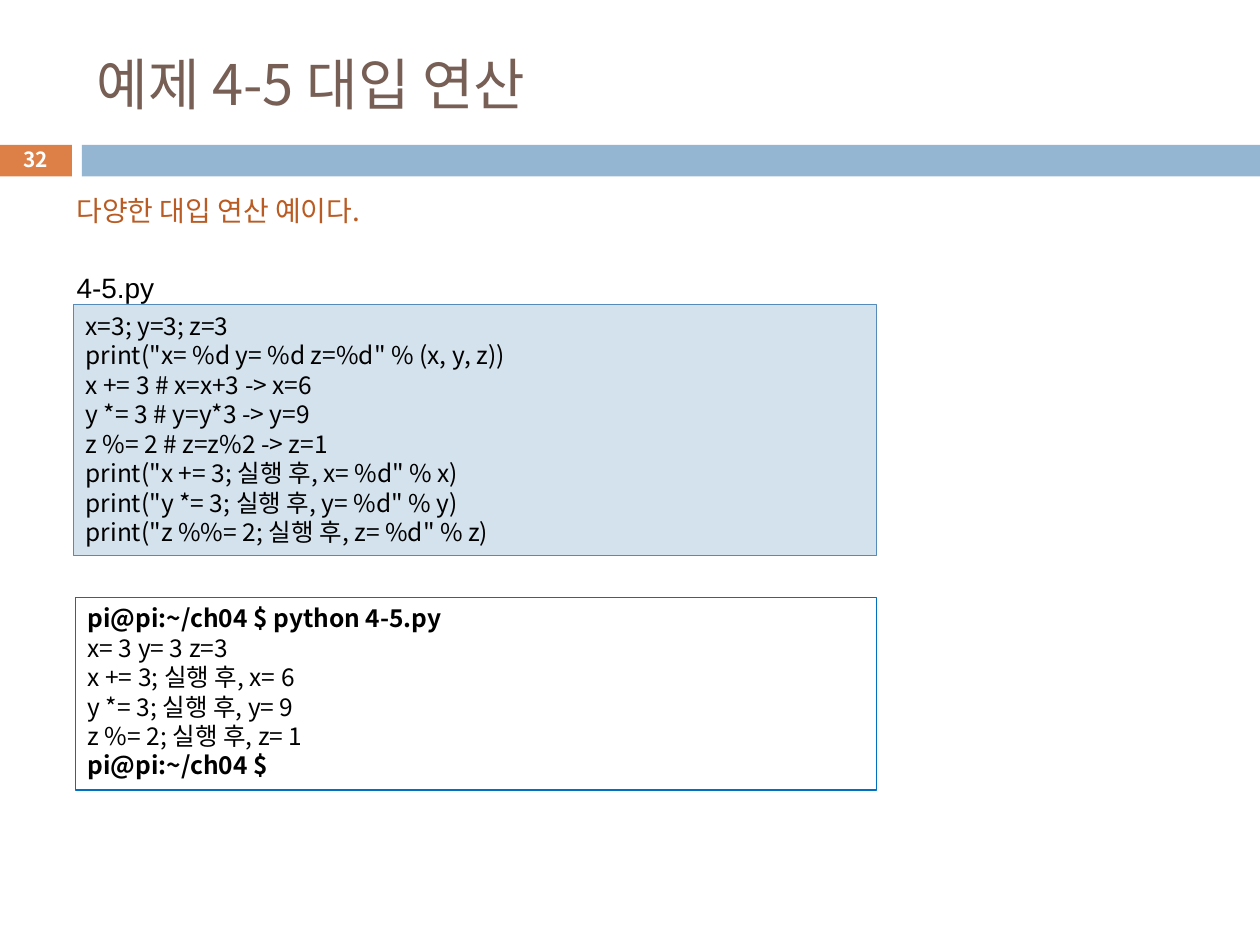
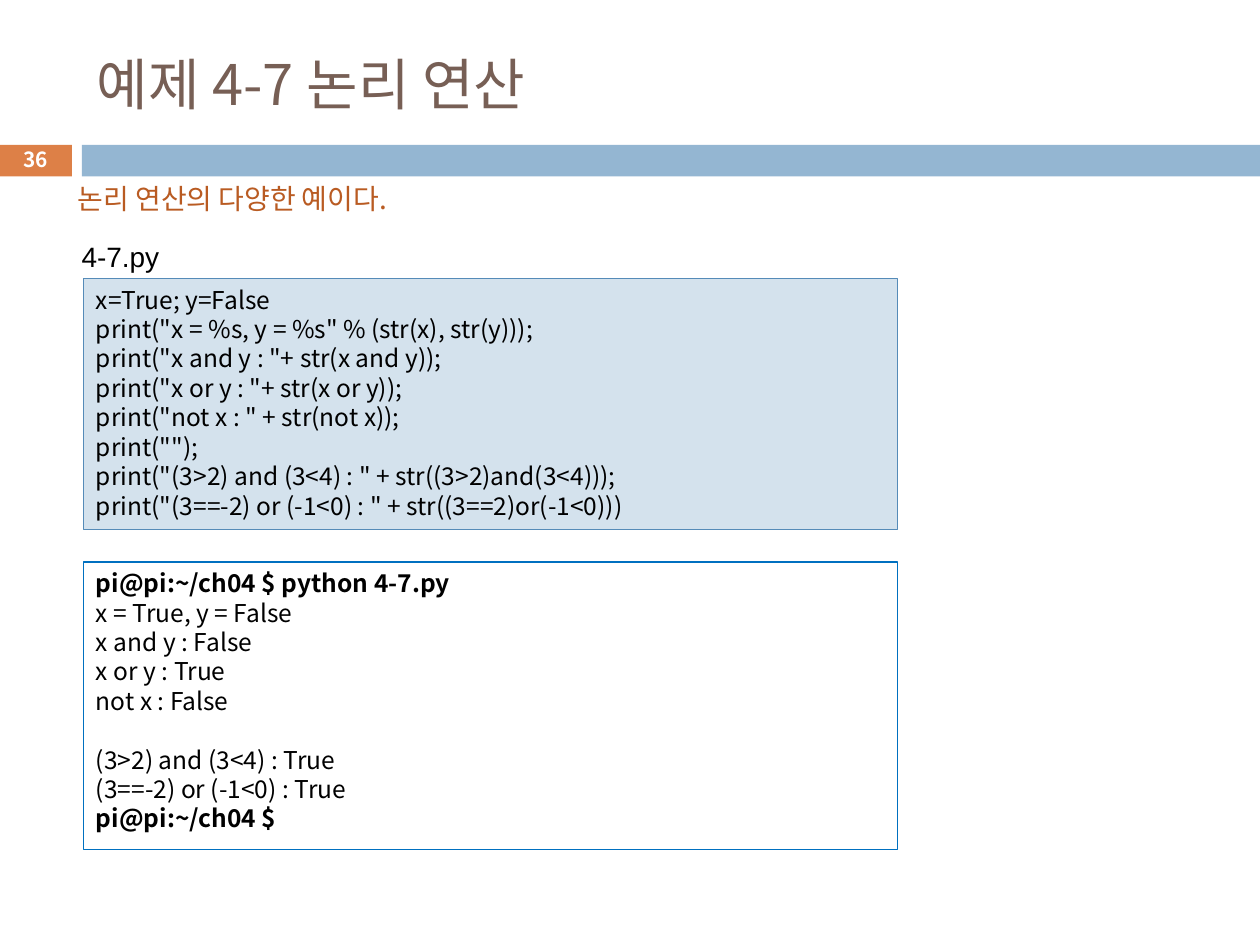
from pptx import Presentation
from pptx.dml.color import RGBColor
from pptx.enum.shapes import MSO_SHAPE as Shape
from pptx.enum.text import MSO_ANCHOR as Anchor, PP_ALIGN as Align
from pptx.oxml.ns import qn
from pptx.util import Pt

COLORS = {
    "title": "775F55", "number": "FFFFFF", "text": "000000", "intro": "B95B22",
    "orange": "DD8047", "band": "94B6D2",
    "code_fill": "D4E2ED", "code_line": "558BB8", "output_line": "0070C0",
}
KOREAN, LATIN = "Noto Sans CJK KR", "Arial"
CODE_SIZE, CODE_PITCH = 14, 16.8
PROMPT = "pi@pi:~/ch04 $"

EXAMPLES = [
    {
        "number": "32",
        "title": "예제 4-5 대입 연산",
        "intro": ("다양한 대입 연산 예이다.", (36.7, 107.3, 196.6, 26.6)),
        "file": ("4-5.py", (36.7, 139.7, 60.5, 33.8)),
        "code_box": (41.8, 174.2, 458.9, 143.3),
        "code": """x=3; y=3; z=3
print("x= %d y= %d z=%d" % (x, y, z))
x += 3 # x=x+3 -> x=6
y *= 3 # y=y*3 -> y=9
z %= 2 # z=z%2 -> z=1
print("x += 3; 실행 후, x= %d" % x)
print("y *= 3; 실행 후, y= %d" % y)
print("z %%= 2; 실행 후, z= %d" % z)""",
        "output_box": (43, 341.3, 457.9, 110.2),
        "output": """x= 3 y= 3 z=3
x += 3; 실행 후, x= 6
y *= 3; 실행 후, y= 9
z %= 2; 실행 후, z= 1""",
    },
    {
        "number": "36",
        "title": "예제 4-7 논리 연산",
        "intro": ("논리 연산의 다양한 예이다.", (37.4, 100.1, 213.1, 26.6)),
        "file": ("4-7.py", (39.6, 121.7, 60.5, 33.8)),
        "code_box": (47.8, 159.1, 465.1, 143.3),
        "code": """x=True; y=False
print("x = %s, y = %s" % (str(x), str(y)));
print("x and y : "+ str(x and y));
print("x or y : "+ str(x or y));
print("not x : " + str(not x));
print("");
print("(3>2) and (3<4) : " + str((3>2)and(3<4)));
print("(3==-2) or (-1<0) : " + str((3==2)or(-1<0)))""",
        "output_box": (47.8, 321.1, 465.1, 164.2),
        "output": """x = True, y = False
x and y : False
x or y : True
not x : False

(3>2) and (3<4) : True
(3==-2) or (-1<0) : True""",
    },
]


class Deck:
    def __init__(self):
        self.presentation = Presentation()
        self.presentation.slide_width, self.presentation.slide_height = Pt(720), Pt(540)
        self.slide = None

    def add_slide(self, title, number):
        """Start a slide with its title, number tab and band."""
        self.slide = self.presentation.slides.add_slide(self.presentation.slide_layouts[6])
        self.box((-0.7, 82.8, 41.8, 18), fill="orange")
        self.box((46.8, 82.8, 673.2, 18), fill="band")
        self.label(title, (48.2, 18, 642.2, 59), 32, "title", wrap=True)
        tab = self.label(number, (-0.7, 81.4, 41.8, 19.4), 11.9, "number", wrap=True)
        tab.alignment, tab.font.bold = Align.CENTER, True

    def box(self, place, fill=None, line=None):
        shape = self.slide.shapes.add_shape(Shape.RECTANGLE, *map(Pt, place))
        shape.shadow.inherit = False
        if fill:
            shape.fill.solid()
            shape.fill.fore_color.rgb = RGBColor.from_string(COLORS[fill])
        else:
            shape.fill.background()
        if line:
            shape.line.color.rgb = RGBColor.from_string(COLORS[line])
            shape.line.width = Pt(0.75)
        else:
            shape.line.fill.background()
        return shape

    def style(self, paragraph, size, color, name=KOREAN):
        """Set the font for Latin and for Korean letters alike."""
        font = paragraph.font
        font.size, font.name = Pt(size), name
        font.color.rgb = RGBColor.from_string(COLORS[color])
        for run in paragraph.runs:
            properties = run._r.get_or_add_rPr()
            east_asian = properties.makeelement(qn("a:ea"), {"typeface": name})
            properties.append(east_asian)

    def label(self, text, place, size, color, name=KOREAN, wrap=False):
        frame = self.slide.shapes.add_textbox(*map(Pt, place)).text_frame
        frame.word_wrap = wrap
        frame.vertical_anchor = Anchor.MIDDLE if wrap else Anchor.TOP
        paragraph = frame.paragraphs[0]
        paragraph.text = text
        self.style(paragraph, size, color, name)
        return paragraph

    def listing(self, lines, place, fill=None, line=None):
        """Boxed lines; an empty line becomes space before the next one."""
        frame = self.box(place, fill, line).text_frame
        frame.word_wrap, frame.vertical_anchor = True, Anchor.TOP
        paragraph, gap = frame.paragraphs[0], 0
        for text in lines:
            if not text:
                gap += CODE_PITCH
                continue
            if paragraph.text:
                paragraph = frame.add_paragraph()
            paragraph.text = text
            paragraph.alignment = Align.LEFT
            if gap:
                paragraph.space_before = Pt(gap)
            self.style(paragraph, CODE_SIZE, "text")
            paragraph.font.bold = text.startswith(PROMPT)
            gap = 0


def main():
    deck = Deck()
    for example in EXAMPLES:
        deck.add_slide(example["title"], example["number"])
        deck.label(*example["intro"], 16, "intro")
        deck.listing(example["code"].split("\n"), example["code_box"], "code_fill", "code_line")
        file_name, file_place = example["file"]
        output = [f"{PROMPT} python {file_name}", *example["output"].split("\n"), PROMPT]
        deck.listing(output, example["output_box"], line="output_line")
        file_label = deck.label(file_name, file_place, 16, "text", LATIN)
        file_label.alignment, file_label.line_spacing = Align.JUSTIFY, 1.6
    deck.presentation.save("out.pptx")


if __name__ == "__main__":
    main()
